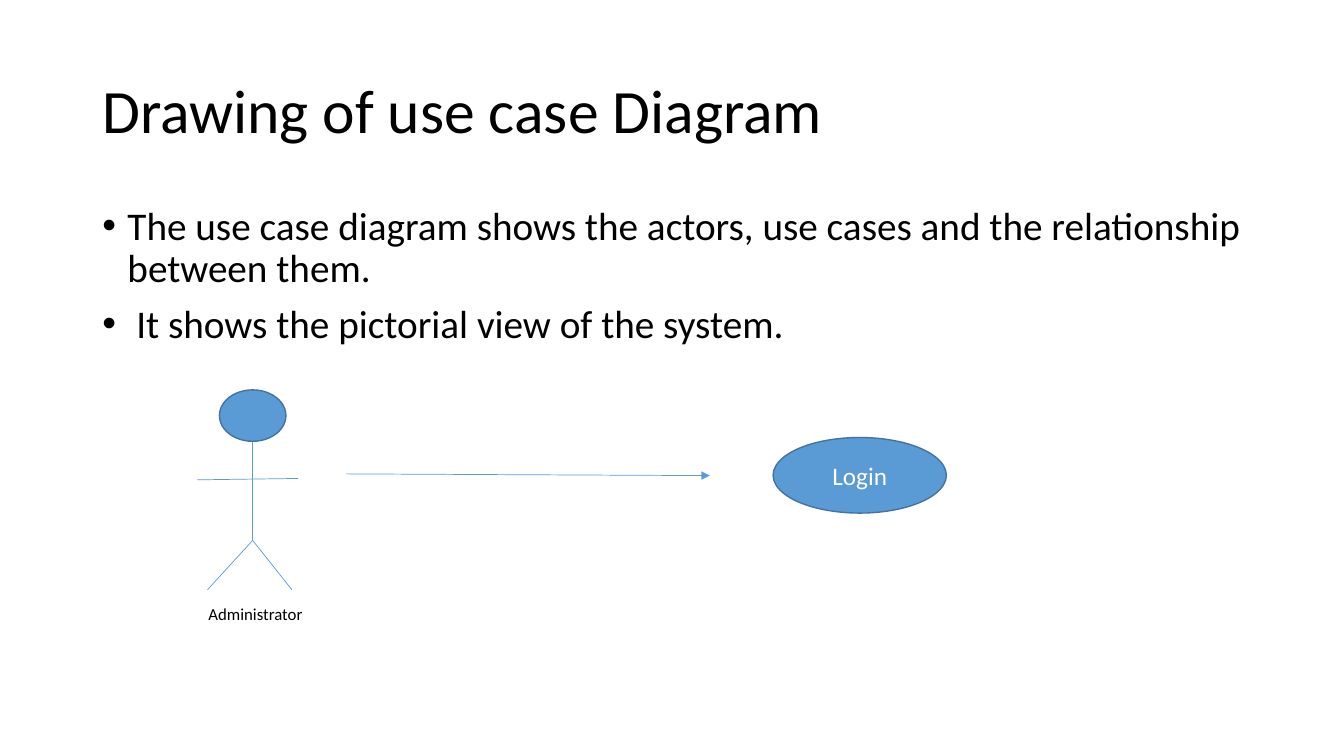
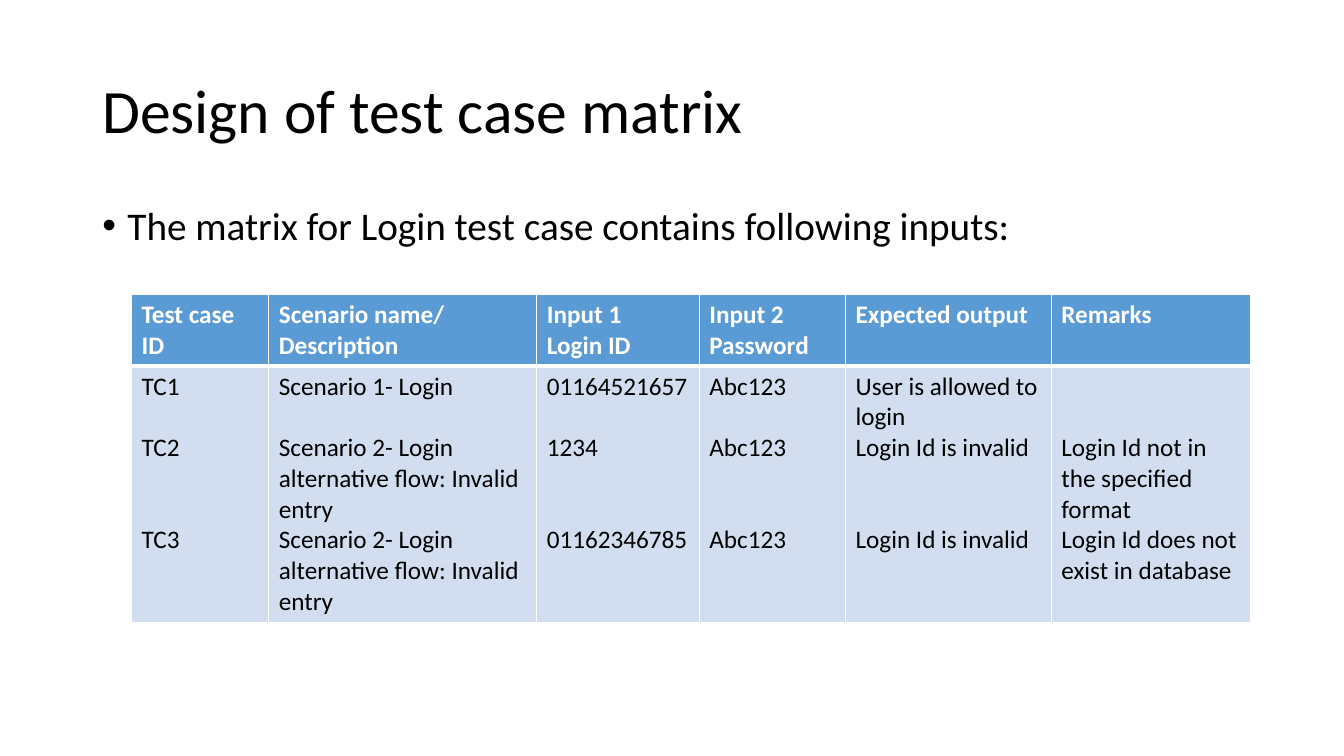
from dataclasses import dataclass

from lxml import etree
from pptx import Presentation
from pptx.dml.color import RGBColor
from pptx.enum.shapes import MSO_CONNECTOR, MSO_SHAPE
from pptx.enum.text import MSO_ANCHOR, PP_ALIGN
from pptx.oxml.ns import qn
from pptx.util import Pt

LINE = MSO_CONNECTOR.STRAIGHT
OVAL = MSO_SHAPE.OVAL
MID = MSO_ANCHOR.MIDDLE
CENTER = PP_ALIGN.CENTER


@dataclass(frozen=True)
class Theme:
    """Colours, font and type sizes of the deck."""
    font: str = "Calibri"
    ink: str = "000000"
    paper: str = "FFFFFF"
    blue: str = "5B9BD5"
    edge: str = "43739E"
    pale: str = "D2DEEF"
    title: int = 44
    body: int = 28
    cell: int = 18
    note: int = 12
    pitch: int = 22
    inset: float = 3.6


THEME = Theme()
TITLE = (66, 28.75, 828, 104.4)
BODY = (66, 144, 828, 342.6)
WIDTHS = (98, 191.5, 116, 104.5, 147, 142.5)
HEIGHTS = (51.2, 183)
FLOW = "Scenario 2- Login alternative flow: Invalid entry"
HEAD = (
    ("Test case ID",),
    ("Scenario name/", "Description"),
    ("Input 1", "Login ID"),
    ("Input 2", "Password"),
    ("Expected output",),
    ("Remarks",),
)
CASES = (
    ("TC1", "TC2", "TC3"),
    ("Scenario 1- Login", FLOW, FLOW),
    ("01164521657", "1234", "01162346785"),
    ("Abc123", "Abc123", "Abc123"),
    ("User is allowed to login", "Login Id is invalid", "Login Id is invalid"),
    ("Login Id not in the specified format",
     "Login Id does not exist in database"),
)
GAPS = ((0, 1, 2), (0, 1, 0), (0, 1, 2), (0, 1, 2), (0, 0, 2), (2, 0))


def rgb(code):
    """Turn a hex code into a colour."""
    return RGBColor.from_string(code)


def style(para, size, color=THEME.ink, bold=False):
    """Set the font of a paragraph."""
    font = para.font
    font.name, font.size, font.bold = THEME.font, Pt(size), bold
    font.color.rgb = rgb(color)


def add_text(slide, box):
    """Add a wrapping text box and return its frame."""
    frame = slide.shapes.add_textbox(*map(Pt, box)).text_frame
    frame.word_wrap = True
    return frame


def add_title(slide, box, text):
    """Write the slide title in its box."""
    frame = add_text(slide, box)
    frame.vertical_anchor = MID
    para = frame.paragraphs[0]
    para.text = text
    para.line_spacing = 0.9
    style(para, THEME.title)


def add_list(slide, box, items):
    """Write a bulleted list in its box."""
    frame = add_text(slide, box)
    for i, item in enumerate(items):
        para = frame.add_paragraph() if i else frame.paragraphs[0]
        para.text = item
        para.line_spacing = 0.9
        if i:
            para.space_before = Pt(9.5)
        props = para._p.get_or_add_pPr()
        props.set("marL", str(Pt(18)))
        props.set("indent", str(-Pt(18)))
        etree.SubElement(props, qn("a:buFont"), typeface="Arial")
        etree.SubElement(props, qn("a:buChar"), char="•")
        style(para, THEME.body)


def add_oval(slide, box, text=""):
    """Draw a blue oval with an optional label."""
    oval = slide.shapes.add_shape(OVAL, *map(Pt, box))
    oval.shadow.inherit = False
    oval.fill.solid()
    oval.fill.fore_color.rgb = rgb(THEME.blue)
    oval.line.color.rgb = rgb(THEME.edge)
    oval.line.width = Pt(1)
    if text:
        oval.text_frame.vertical_anchor = MID
        para = oval.text_frame.paragraphs[0]
        para.text = text
        para.alignment = CENTER
        style(para, THEME.cell, THEME.paper)


def add_line(slide, ends, arrow=False):
    """Draw a thin blue line, with an arrowhead if asked."""
    line = slide.shapes.add_connector(LINE, *map(Pt, ends))
    line.line.color.rgb = rgb(THEME.blue)
    line.line.width = Pt(0.5)
    if arrow:
        etree.SubElement(line.line._get_or_add_ln(), qn("a:tailEnd"),
                         type="triangle")
    etree.SubElement(line._element.spPr, qn("a:effectLst"))


def add_actor(slide, box, name):
    """Draw a stick figure with its name below."""
    left, top, width, height = box
    mid, hip, foot = left + 39.5, top + 107.5, top + 142.75
    add_oval(slide, (mid - 23.75, top, 47.5, 36.75))
    for ends in ((mid, top + 37, mid, hip),
                 (left, top + 64.25, left + width, top + 63.25),
                 (mid, hip, mid - 32.25, foot),
                 (mid, hip, mid + 28, foot)):
        add_line(slide, ends)
    frame = add_text(slide, (mid - 48, top + height - 18, 100, 22))
    para = frame.paragraphs[0]
    para.text = name
    para.alignment = CENTER
    style(para, THEME.note)


def add_edge(cell, side, width):
    """Set one white border of a cell."""
    line = etree.SubElement(cell._tc.get_or_add_tcPr(), qn("a:ln" + side),
                            w=str(Pt(width)))
    fill = etree.SubElement(line, qn("a:solidFill"))
    etree.SubElement(fill, qn("a:srgbClr"), val=THEME.paper)


def fill_cell(cell, texts, gaps, head):
    """Style one cell, with gaps counted in lines above its entries."""
    for side, width in zip("LRTB", (1, 1, 1, 3) if head else (1, 1, 3, 1)):
        add_edge(cell, side, width)
    cell.fill.solid()
    cell.fill.fore_color.rgb = rgb(THEME.blue if head else THEME.pale)
    cell.margin_top = Pt(THEME.inset + gaps[0] * THEME.pitch)
    cell.margin_bottom = Pt(THEME.inset)
    frame = cell.text_frame
    for i, (text, gap) in enumerate(zip(texts, gaps)):
        para = frame.add_paragraph() if i else frame.paragraphs[0]
        para.text = text
        if i and gap:
            para.space_before = Pt(gap * THEME.pitch)
        style(para, THEME.cell, THEME.paper if head else THEME.ink, head)


def add_matrix(slide, box):
    """Build the test case table in its box."""
    shape = slide.shapes.add_table(len(HEIGHTS), len(WIDTHS), *map(Pt, box))
    table = shape.table
    table.horz_banding = False
    for row, height in zip(table.rows, HEIGHTS):
        row.height = Pt(height)
    for c, width in enumerate(WIDTHS):
        table.columns[c].width = Pt(width)
        fill_cell(table.cell(0, c), HEAD[c], (0, 0), True)
        fill_cell(table.cell(1, c), CASES[c], GAPS[c], False)


def add_slide(deck, title, items):
    """Add a blank slide with a title and a list."""
    slide = deck.slides.add_slide(deck.slide_layouts[6])
    add_title(slide, TITLE, title)
    add_list(slide, BODY, items)
    return slide


def draw_case(deck):
    """Build the use case diagram slide."""
    slide = add_slide(deck, "Drawing of use case Diagram", (
        "The use case diagram shows the actors, use cases and the "
        "relationship between them.",
        " It shows the pictorial view of the system."))
    add_actor(slide, (141, 278.5, 72, 167.5), "Administrator")
    add_oval(slide, (552.25, 312.5, 123.75, 54), "Login")
    add_line(slide, (247.25, 338.5, 507, 339.75), True)


def draw_matrix(deck):
    """Build the test case matrix slide."""
    slide = add_slide(deck, "Design of test case matrix", (
        "The matrix for Login test case contains following inputs:",))
    add_matrix(slide, (94, 210.25, sum(WIDTHS), sum(HEIGHTS)))


def main():
    """Build and save the deck."""
    deck = Presentation()
    deck.slide_width, deck.slide_height = Pt(960), Pt(540)
    draw_case(deck)
    draw_matrix(deck)
    deck.save("out.pptx")


if __name__ == "__main__":
    main()
